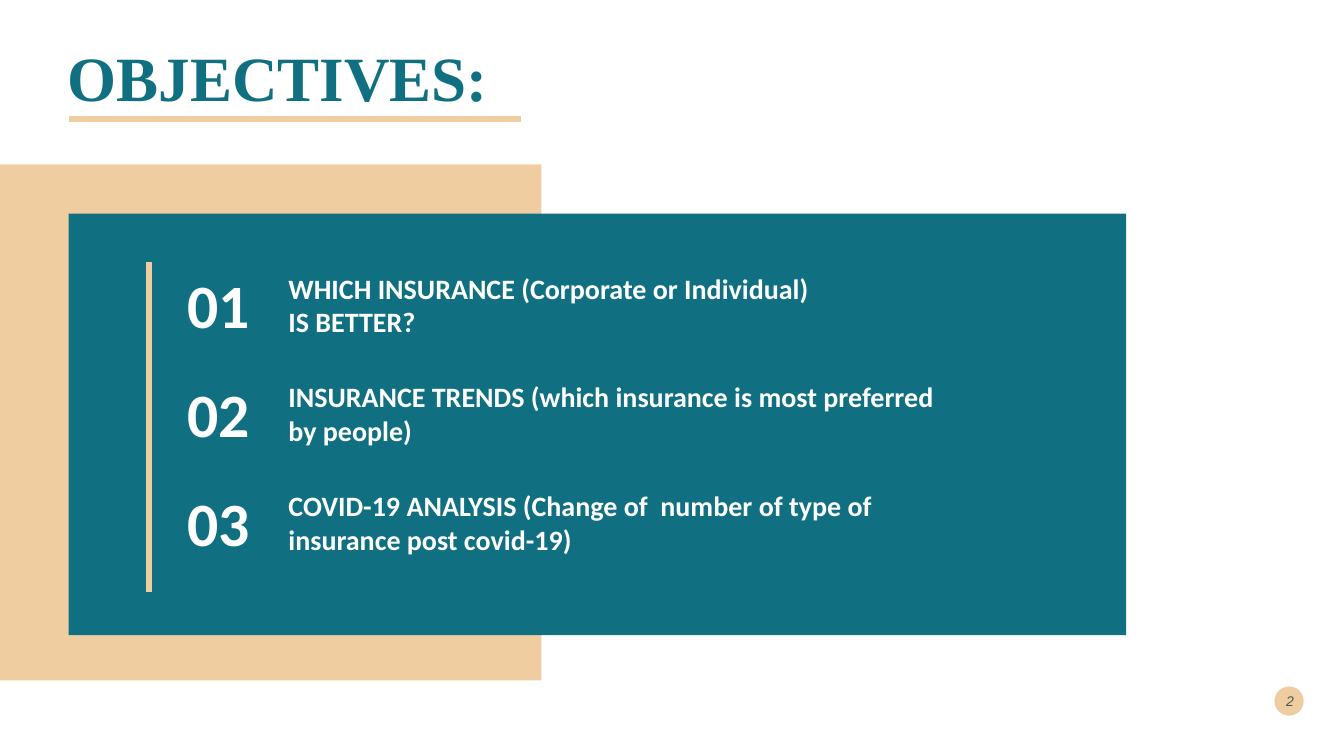
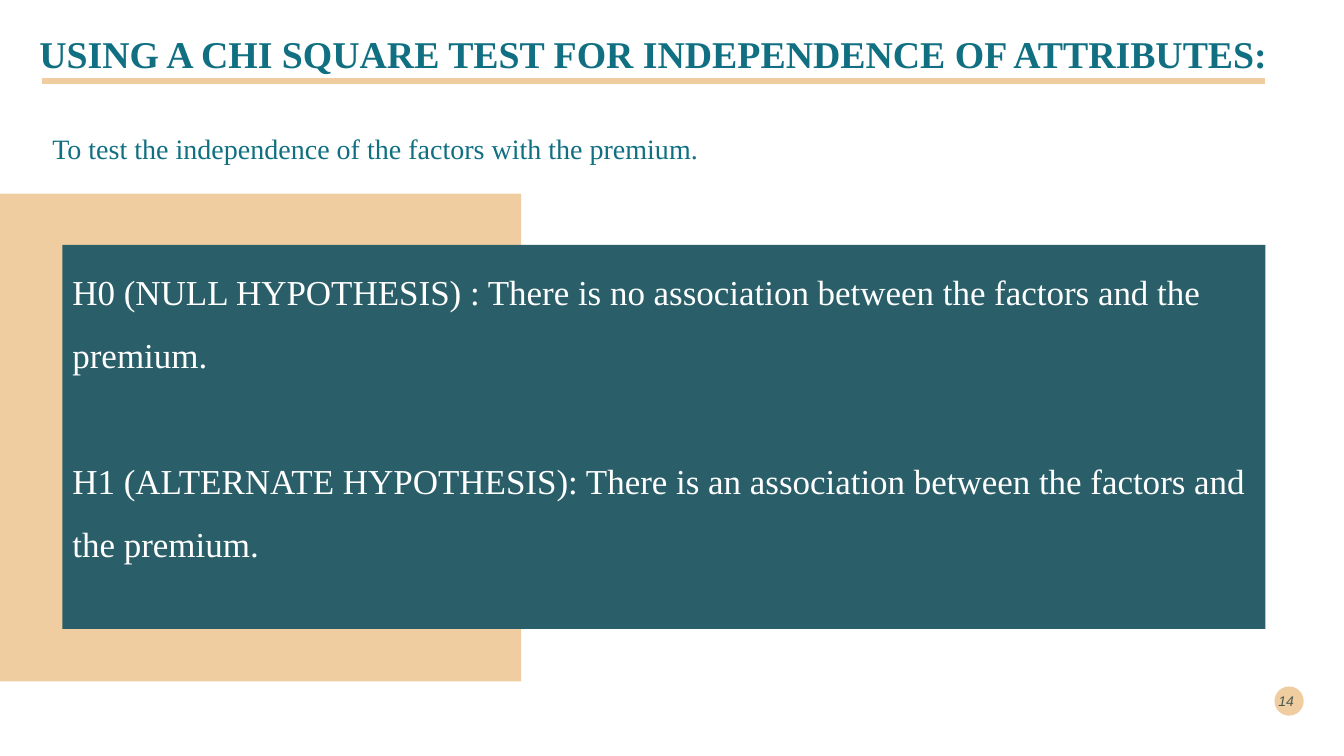
import pptx
import pptx.util
import pptx.dml.color
import pptx.enum.shapes
import pptx.enum.text
import lxml.etree
from pptx.oxml.ns import qn

Inches = pptx.util.Inches
SHAPE = pptx.enum.shapes.MSO_SHAPE
ALIGN = pptx.enum.text.PP_ALIGN
ANCHOR = pptx.enum.text.MSO_ANCHOR

# Shared look
TEAL = "107082"
DARK = "2A5F69"
SAND = "F0CDA1"
INK = "00292E"
WHITE = "FFFFFF"
SERIF = "Times New Roman"
SANS = "Calibri"


def color(code):
    return pptx.dml.color.RGBColor.from_string(code)


def write(shape, text, size, face, code, bold=False, italic=False,
          align=ALIGN.LEFT, anchor=ANCHOR.TOP, inset=0.1):
    frame = shape.text_frame
    frame.word_wrap = True
    frame.vertical_anchor = anchor
    frame.margin_left = frame.margin_right = Inches(inset)
    frame.margin_top = frame.margin_bottom = Inches(0.05)
    frame.text = text
    for para in frame.paragraphs:
        para.alignment = align
        for run in para.runs:
            font = run.font
            font.size = pptx.util.Pt(size)
            font.name = face
            font.bold = bold
            font.italic = italic
            font.color.rgb = color(code)


def label(slide, box, text, size, face, code, **style):
    shape = slide.shapes.add_textbox(*map(Inches, box))
    write(shape, text, size, face, code, **style)
    return shape


def block(slide, box, code, kind=SHAPE.RECTANGLE):
    shape = slide.shapes.add_shape(kind, *map(Inches, box))
    shape.shadow.inherit = False
    shape.fill.solid()
    shape.fill.fore_color.rgb = color(code)
    shape.line.fill.background()
    return shape


def rule(slide, *ends):
    line = slide.shapes.add_connector(
        pptx.enum.shapes.MSO_CONNECTOR.STRAIGHT, *map(Inches, ends))
    line.line.color.rgb = color(SAND)
    line.line.width = pptx.util.Pt(4.32)
    lxml.etree.SubElement(line._element.spPr, qn("a:effectLst"))


def badge(slide, number):
    block(slide, (12.64, 6.81, 0.29, 0.29), SAND, SHAPE.OVAL)
    shape = label(slide, (12.54, 6.75, 0.39, 0.4), number, 10, "Arial", INK,
                  italic=True, align=ALIGN.RIGHT, anchor=ANCHOR.MIDDLE)
    # Soften the number
    for tone in shape._element.iter(qn("a:srgbClr")):
        lxml.etree.SubElement(tone, qn("a:alpha"), val="70000")


def start(deck, text, box, size, line, number):
    slide = deck.slides.add_slide(deck.slide_layouts[5])
    title = slide.shapes.title
    title.left, title.top, title.width, title.height = map(Inches, box)
    write(title, text, size, SERIF, TEAL, bold=True, anchor=ANCHOR.MIDDLE)
    rule(slide, *line)
    badge(slide, number)
    return slide


def goals(deck):
    slide = start(deck, "OBJECTIVES:", (0.57, 0.33, 5.26, 0.86), 45,
                  (0.68, 1.18, 5.17, 1.18), "2")
    block(slide, (0, 1.63, 5.37, 5.12), SAND)
    block(slide, (0.68, 2.12, 10.49, 4.18), TEAL)
    rule(slide, 1.48, 2.6, 1.48, 5.87)

    # Numbered rows
    items = (
        "WHICH INSURANCE (Corporate or Individual)\nIS BETTER?",
        "INSURANCE TRENDS (which insurance is most preferred by people)",
        "COVID-19 ANALYSIS (Change of  number of type of insurance "
        "post covid-19)",
    )
    for row, text in enumerate(items):
        top = 2.6 + row * 1.08
        label(slide, (1.42, top, 1.5, 0.85), f"{row + 1:02}", 44, SANS, WHITE,
              bold=True, align=ALIGN.CENTER, inset=0.12)
        label(slide, (2.74, top + 0.04, 6.98, 0.77), text, 20, SANS, WHITE,
              bold=True, inset=0.12)


def test(deck):
    slide = start(deck,
                  "USING A CHI SQUARE TEST FOR INDEPENDENCE OF ATTRIBUTES:",
                  (0.29, 0.25, 12.6, 0.56), 27,
                  (0.42, 0.8, 12.55, 0.8), "14")
    label(slide, (0.42, 1.31, 11.78, 0.32),
          "To test the independence of the factors with the premium.",
          20, SERIF, TEAL, anchor=ANCHOR.MIDDLE)
    block(slide, (0, 1.92, 5.17, 4.84), SAND)

    # Both hypotheses
    panel = block(slide, (0.62, 2.43, 11.93, 3.81), DARK)
    write(panel, "H0 (NULL HYPOTHESIS) : There is no association between "
          "the factors and the premium.\n"
          "H1 (ALTERNATE HYPOTHESIS): There is an association between "
          "the factors and the premium.", 25, SERIF, WHITE)
    paras = panel.text_frame.paragraphs
    for para in paras:
        para.line_spacing = 1.5
    paras[1].space_before = pptx.util.Pt(45)


def main():
    deck = pptx.Presentation()
    deck.slide_width = Inches(13.33)
    deck.slide_height = Inches(7.5)
    goals(deck)
    test(deck)
    deck.save("out.pptx")


if __name__ == "__main__":
    main()
